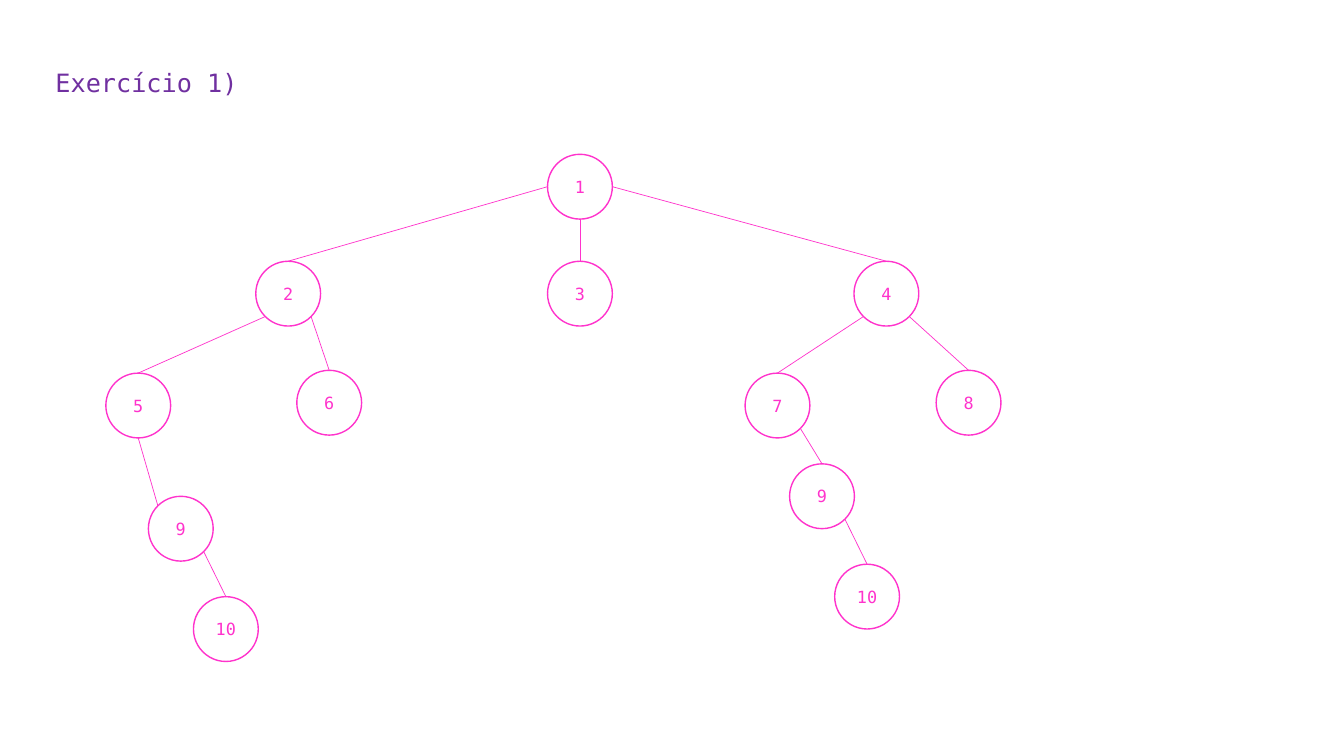
"""Build the slide with the numbered tree of exercise 1."""
from dataclasses import dataclass
from enum import IntEnum
from math import cos, pi, sin

from lxml.etree import SubElement
from pptx import Presentation
from pptx.dml.color import RGBColor as Color
from pptx.enum.shapes import MSO_CONNECTOR as Link, MSO_SHAPE as Form
from pptx.enum.text import MSO_ANCHOR as Anchor, PP_ALIGN as Align
from pptx.oxml.ns import qn
from pptx.shapes.autoshape import Shape
from pptx.slide import Slide
from pptx.text.text import TextFrame as Frame
from pptx.util import Pt


@dataclass(frozen=True)
class Theme:
    """Font, colours, type sizes and line widths."""
    font: str = "DejaVu Sans Mono"
    title: Color = Color(0x70, 0x30, 0xA0)
    pink: Color = Color(0xFF, 0x33, 0xCC)
    head: float = 18
    label: float = 12
    ring: float = 1
    edge: float = 0.5


class Site(IntEnum):
    """Connection sites of an ellipse, counted anticlockwise from the top."""
    TOP = 0
    TOP_LEFT = 1
    LEFT = 2
    LOW_LEFT = 3
    LOW = 4
    LOW_RIGHT = 5
    RIGHT = 6


@dataclass(frozen=True)
class Node:
    """A tree node with its left and top, and the edge from its parent."""
    label: str
    x: float
    y: float
    up: str = ""
    start: Site = Site.LOW
    end: Site = Site.TOP


THEME = Theme()
SIZE = 46.3
ROW = 186.6
NODES = {
    "root": Node("1", 391.1, 110.2),
    "two": Node("2", 182.7, ROW, "root", Site.LEFT),
    "three": Node("3", 391.1, ROW, "root"),
    "four": Node("4", 610, ROW, "root", Site.RIGHT),
    "five": Node("5", 75.6, 266.5, "two", Site.LOW_LEFT),
    "six": Node("6", 212, 264.5, "two", Site.LOW_RIGHT),
    "seven": Node("7", 532.2, 266.5, "four", Site.LOW_LEFT),
    "eight": Node("8", 668.7, 264.5, "four", Site.LOW_RIGHT),
    "nine": Node("9", 106, 354.5, "five", end=Site.TOP_LEFT),
    "ten": Node("10", 138.2, 426.2, "nine", Site.LOW_RIGHT),
    "nine_b": Node("9", 564, 331.3, "seven", Site.LOW_RIGHT),
    "ten_b": Node("10", 596.2, 403, "nine_b", Site.LOW_RIGHT),
}


def style(frame: Frame, text: str, size: float, color: Color, align: Align) -> None:
    """Set and format a single line of text."""
    frame.text = text
    line = frame.paragraphs[0]
    line.alignment = align
    font = line.runs[0].font
    font.name, font.size, font.color.rgb = THEME.font, Pt(size), color


def add_title(slide: Slide, text: str) -> None:
    """Place and format the title."""
    box = slide.shapes.title
    box.left, box.top, box.width, box.height = Pt(32.4), Pt(44.6), Pt(339), Pt(29)
    style(box.text_frame, text, THEME.head, THEME.title, Align.LEFT)
    box.text_frame.vertical_anchor = Anchor.TOP


def add_node(slide: Slide, node: Node) -> Shape:
    """Draw a ring with its label."""
    ring = slide.shapes.add_shape(Form.OVAL, Pt(node.x), Pt(node.y), Pt(SIZE), Pt(SIZE))
    ring.shadow.inherit = False
    ring.fill.background()
    ring.line.color.rgb, ring.line.width = THEME.pink, Pt(THEME.ring)
    style(ring.text_frame, node.label, THEME.label, THEME.pink, Align.CENTER)
    ring.text_frame.vertical_anchor = Anchor.MIDDLE
    return ring


def spot(node: Node, site: Site) -> tuple[Pt, Pt]:
    """Return the point of a site on a ring."""
    turn, half = site * pi / 4, SIZE / 2
    return Pt(node.x + half - half * sin(turn)), Pt(node.y + half - half * cos(turn))


def add_edge(slide: Slide, node: Node, rings: dict[str, Shape], name: str) -> None:
    """Draw the edge from the parent and glue both of its ends."""
    edge = slide.shapes.add_connector(
        Link.STRAIGHT, *spot(NODES[node.up], node.start), *spot(node, node.end))
    edge.line.color.rgb, edge.line.width = THEME.pink, Pt(THEME.edge)
    root = edge.element
    SubElement(root.spPr, qn("a:effectLst"))
    glue = root.find(".//" + qn("p:cNvCxnSpPr"))
    for tag, ring, site in (("a:stCxn", rings[node.up], node.start),
                            ("a:endCxn", rings[name], node.end)):
        SubElement(glue, qn(tag), id=str(ring.shape_id), idx=str(int(site)))


def main() -> None:
    """Build and save the slide."""
    deck = Presentation()
    deck.slide_width, deck.slide_height = Pt(960), Pt(540)
    slide = deck.slides.add_slide(deck.slide_layouts.get_by_name("Title Only"))
    add_title(slide, "Exercício 1)")
    rings = {name: add_node(slide, node) for name, node in NODES.items()}
    for name, node in NODES.items():
        if node.up:
            add_edge(slide, node, rings, name)
    deck.save("out.pptx")


main()
